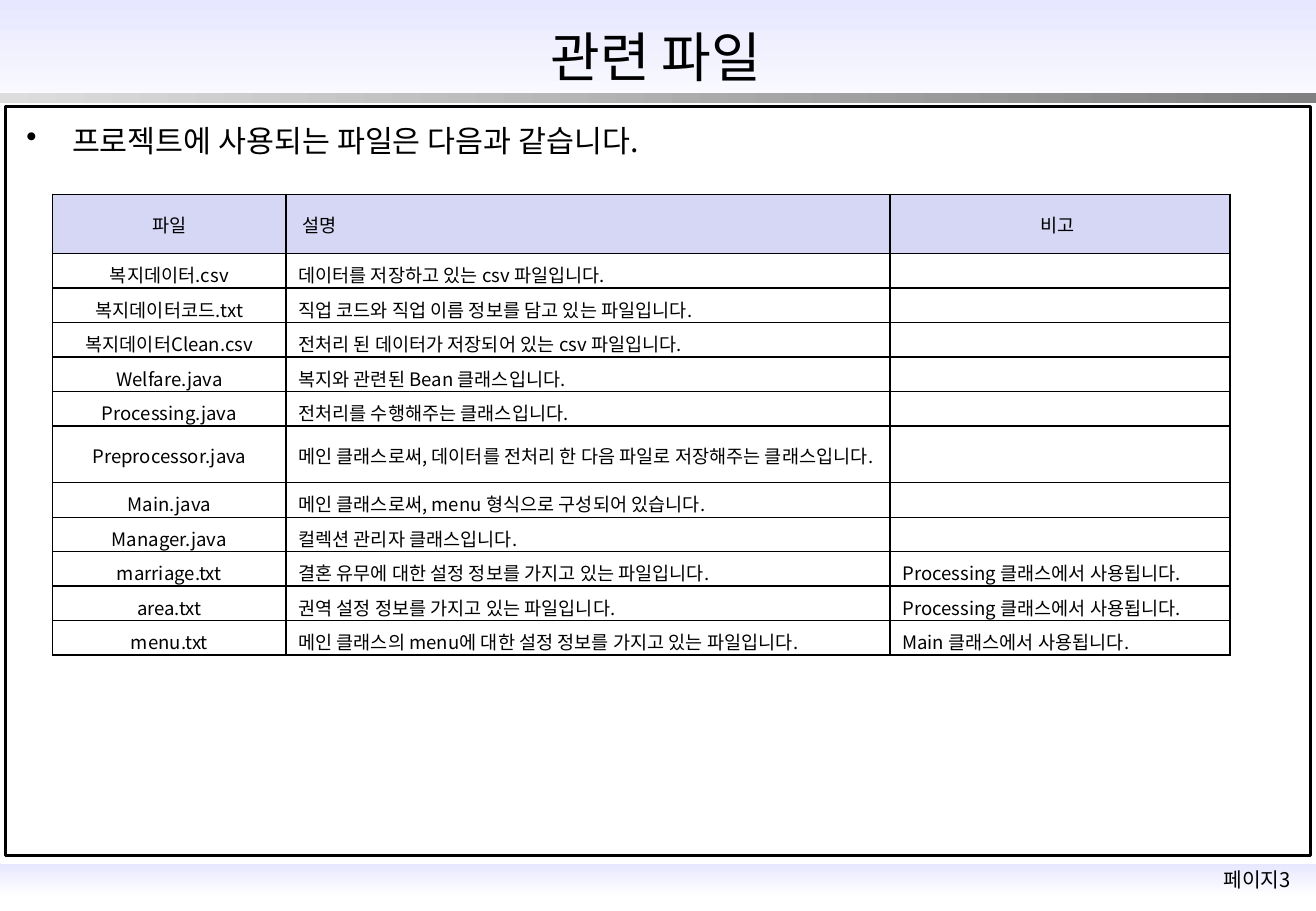
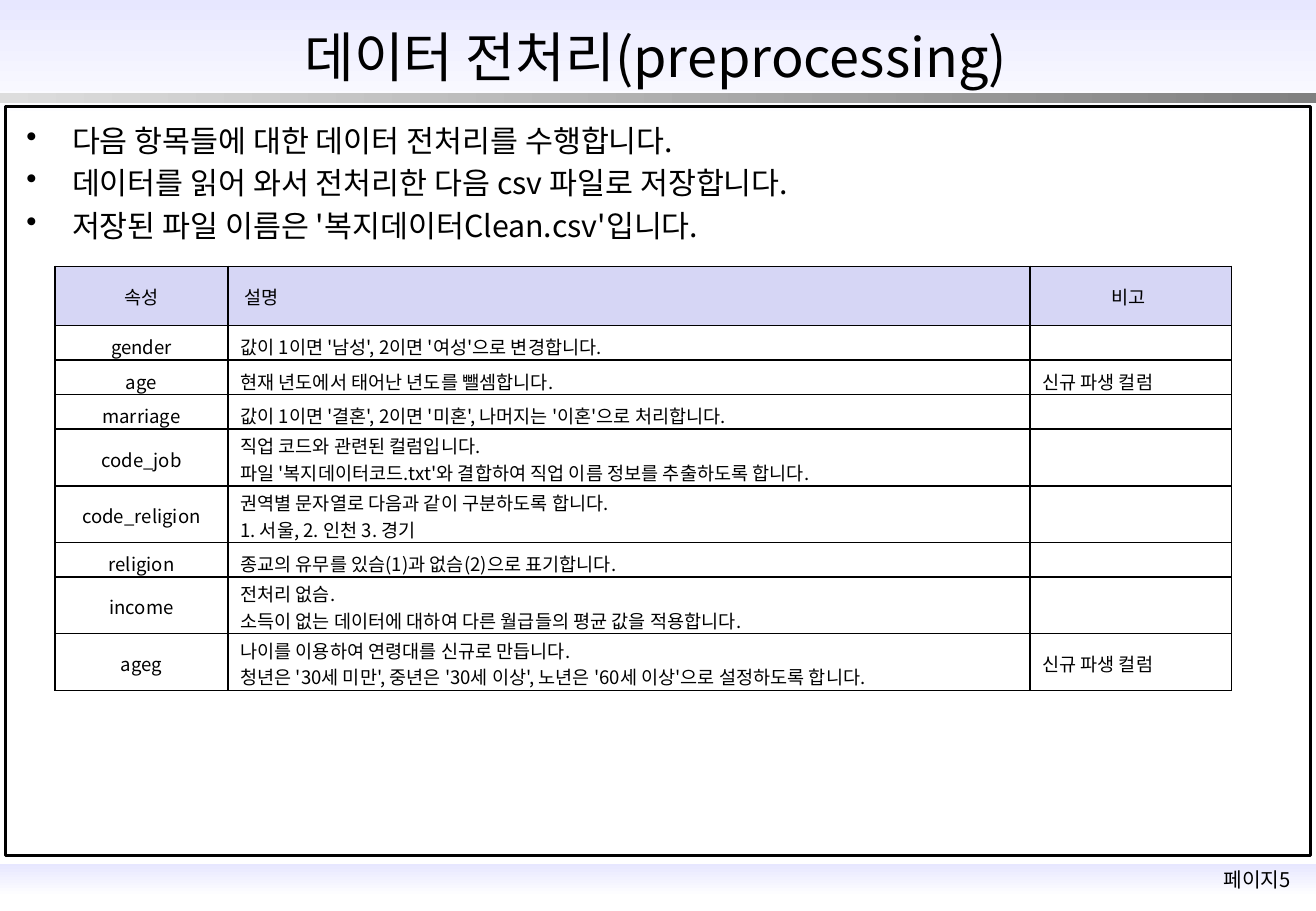
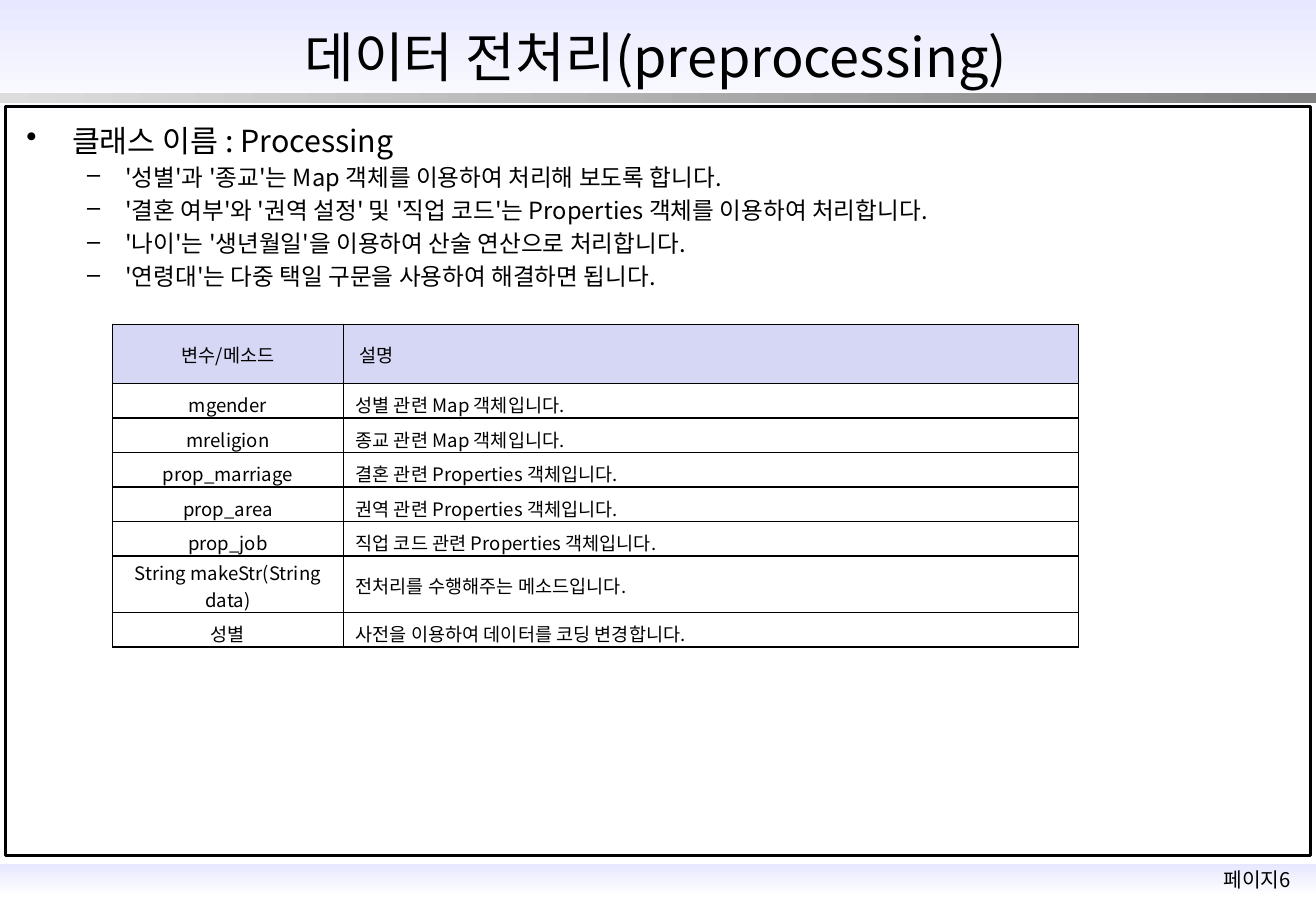
from dataclasses import dataclass

from lxml.etree import SubElement
from pptx import Presentation
from pptx.dml.color import RGBColor
from pptx.enum.shapes import MSO_SHAPE
from pptx.enum.text import MSO_ANCHOR, PP_ALIGN
from pptx.oxml.ns import qn
from pptx.util import Pt


# Theme
@dataclass(frozen=True)
class Theme:
    font: str = "Noto Sans CJK KR"
    ink: str = "000000"
    band: tuple = ("E7E7FF", "FFFFFF")
    rule: tuple = ("DDDDDD", "808080")
    header_fill: str = "D6D6F5"
    title: float = 32
    bullet_sizes: tuple = (18, 14)
    cell: float = 11
    page: float = 12


THEME = Theme()
SLIDE_WIDTH, SLIDE_HEIGHT = 780, 540
HEADER_HEIGHT = 35.2
ROW_HEIGHTS = {1: 20.45, 2: 33.6}  # by number of text lines
CELL_LINE = 16
LINE_FACTOR = 1.2
# Marker, left margin and hanging indent of each bullet level
BULLETS = (("•", 27, -27), ("–", 58.5, -22.5))

# Content: bullets are (level, text); wrapped lists the rows that fold to two lines
SLIDES = [
    dict(
        title="관련 파일",
        page="페이지3",
        bullets=[(0, "프로젝트에 사용되는 파일은 다음과 같습니다.")],
        origin=(31.2, 115.2),
        columns=(138.4, 358, 201.4),
        wrapped={6},
        rows=[
            ("파일", " 설명", "비고\u00a0"),
            ("복지데이터.csv", "데이터를 저장하고 있는 csv 파일입니다.", ""),
            ("복지데이터코드.txt", "직업 코드와 직업 이름 정보를 담고 있는 파일입니다.", ""),
            ("복지데이터Clean.csv", "전처리 된 데이터가 저장되어 있는 csv 파일입니다.", ""),
            ("Welfare.java", "복지와 관련된 Bean 클래스입니다.", ""),
            ("Processing.java", "전처리를 수행해주는 클래스입니다.", ""),
            ("Preprocessor.java", "메인 클래스로써, 데이터를 전처리 한 다음 파일로 저장해주는 클래스입니다.", ""),
            ("Main.java", "메인 클래스로써, menu 형식으로 구성되어 있습니다.", ""),
            ("Manager.java", "컬렉션 관리자 클래스입니다.", ""),
            ("marriage.txt", "결혼 유무에 대한 설정 정보를 가지고 있는 파일입니다.", "Processing 클래스에서 사용됩니다."),
            ("area.txt", "권역 설정 정보를 가지고 있는 파일입니다.", "Processing 클래스에서 사용됩니다."),
            ("menu.txt", "메인 클래스의 menu에 대한 설정 정보를 가지고 있는 파일입니다.", "Main 클래스에서 사용됩니다."),
        ],
    ),
    dict(
        title="데이터 전처리(preprocessing)",
        page="페이지5",
        bullets=[
            (0, "다음 항목들에 대한 데이터 전처리를 수행합니다."),
            (0, "데이터를 읽어 와서 전처리한 다음 csv 파일로 저장합니다."),
            (0, "저장된 파일 이름은 '복지데이터Clean.csv'입니다."),
        ],
        origin=(32.5, 157.9),
        columns=(102.7, 475.3, 119.6),
        wrapped=set(),
        rows=[
            ("속성", " 설명", "비고\u00a0"),
            ("gender", "값이 1이면 '남성', 2이면 '여성'으로 변경합니다.", ""),
            ("age", "현재 년도에서 태어난 년도를 뺄셈합니다.", "신규 파생 컬럼"),
            ("marriage", "값이 1이면 '결혼', 2이면 '미혼', 나머지는 '이혼'으로 처리합니다.", ""),
            ("code_job", "직업 코드와 관련된 컬럼입니다.\n"
             "파일 '복지데이터코드.txt'와 결합하여 직업 이름 정보를 추출하도록 합니다.", ""),
            ("code_religion", "권역별 문자열로 다음과 같이 구분하도록 합니다.\n1. 서울, 2. 인천 3. 경기", ""),
            ("religion", "종교의 유무를 있슴(1)과 없슴(2)으로 표기합니다.", ""),
            ("income", "전처리 없슴.\n소득이 없는 데이터에 대하여 다른 월급들의 평균 값을 적용합니다.", ""),
            ("ageg", "나이를 이용하여 연령대를 신규로 만듭니다.\n"
             "청년은 '30세 미만', 중년은 '30세 이상', 노년은 '60세 이상'으로 설정하도록 합니다.", "신규 파생 컬럼"),
        ],
    ),
    dict(
        title="데이터 전처리(preprocessing)",
        page="페이지6",
        bullets=[
            (0, "클래스 이름 : Processing"),
            (1, "'성별'과 '종교'는 Map 객체를 이용하여 처리해 보도록 합니다."),
            (1, "'결혼 여부'와 '권역 설정' 및 '직업 코드'는 Properties 객체를 이용하여 처리합니다."),
            (1, "'나이'는 '생년월일'을 이용하여 산술 연산으로 처리합니다."),
            (1, "'연령대'는 다중 택일 구문을 사용하여 해결하면 됩니다."),
        ],
        origin=(66.6, 192.2),
        columns=(137, 435.6),
        wrapped={6},
        rows=[
            ("변수/메소드", " 설명"),
            ("mgender", "성별 관련 Map 객체입니다."),
            ("mreligion", "종교 관련 Map 객체입니다."),
            ("prop_marriage", "결혼 관련 Properties 객체입니다."),
            ("prop_area", "권역 관련 Properties 객체입니다."),
            ("prop_job", "직업 코드 관련 Properties 객체입니다."),
            ("String makeStr(String data)", "전처리를 수행해주는 메소드입니다."),
            ("성별", "사전을 이용하여 데이터를 코딩 변경합니다."),
        ],
    ),
]


def points(*lengths):
    return [Pt(length) for length in lengths]


def style(paragraph, size, align=PP_ALIGN.LEFT):
    paragraph.alignment = align
    font = paragraph.font
    font.name, font.size = THEME.font, Pt(size)
    font.color.rgb = RGBColor.from_string(THEME.ink)
    defaults = paragraph._p.pPr.find(qn("a:defRPr"))
    SubElement(defaults, qn("a:ea"), typeface=THEME.font)
    if not paragraph.runs:
        SubElement(paragraph._p, qn("a:endParaRPr"), sz=str(size * 100))
    return defaults


# Shared bands, rule and frame
def add_bar(slide, box, colors=None, angle=0):
    bar = slide.shapes.add_shape(MSO_SHAPE.RECTANGLE, *points(*box))
    bar.shadow.inherit = False
    if colors:
        bar.fill.gradient()
        bar.fill.gradient_angle = angle
        for stop, color in zip(bar.fill.gradient_stops, colors):
            stop.color.rgb = RGBColor.from_string(color)
        bar.line.fill.background()
    else:
        bar.fill.background()
        bar.line.color.rgb = RGBColor.from_string(THEME.ink)
        bar.line.width = Pt(1.5)
    return bar


def decorate(layout, slide):
    bars = [
        add_bar(slide, (0, 512, SLIDE_WIDTH, 19.4), THEME.band, 270),
        add_bar(slide, (0, 0, SLIDE_WIDTH, 72), THEME.band, 270),
        add_bar(slide, (0, 55.2, SLIDE_WIDTH, 5.8), THEME.rule),
        add_bar(slide, (3.4, 63.2, 773.3, 444)),
    ]
    for bar in bars:
        layout.shapes.element.append(bar.element)


# Title, bullets and page number
def add_title(slide, text):
    title = slide.shapes.title
    title.left, title.top, title.width, title.height = points(100, 12.2, 577.6, 41.8)
    frame = title.text_frame
    frame.text = text
    frame.vertical_anchor = MSO_ANCHOR.MIDDLE
    frame.margin_top = frame.margin_bottom = 0
    style(frame.paragraphs[0], THEME.title, PP_ALIGN.CENTER)


def add_text(slide, box, text):
    frame = slide.shapes.add_textbox(*points(*box)).text_frame
    frame.word_wrap = True
    frame.text = text
    return frame.paragraphs


def add_bullets(slide, bullets):
    sizes = [THEME.bullet_sizes[level] for level, _ in bullets]
    height = 7.2 + sum(size * 1.4 for size in sizes)
    text = "\n".join(line for _, line in bullets)
    paragraphs = add_text(slide, (8.6, 68.7, 759.6, height), text)
    for paragraph, size, (level, _) in zip(paragraphs, sizes, bullets):
        marker, margin, indent = BULLETS[level]
        defaults = style(paragraph, size)
        paragraph.level = level
        paragraph.line_spacing = Pt(size * LINE_FACTOR)
        paragraph.space_before = Pt(size * 0.2)
        properties = paragraph._p.pPr
        properties.set("marL", str(Pt(margin)))
        properties.set("indent", str(Pt(indent)))
        defaults.addprevious(SubElement(properties, qn("a:buChar"), char=marker))


def add_page_number(slide, text):
    page = add_text(slide, (707, 510.5, 76.3, 21.6), text)[0]
    style(page, THEME.page, PP_ALIGN.CENTER)
    page.line_spacing = Pt(THEME.page * LINE_FACTOR)


# Table
def add_borders(cell):
    properties = cell._tc.get_or_add_tcPr()
    for position, side in enumerate("LRTB"):
        border = SubElement(properties, qn(f"a:ln{side}"), w=str(Pt(1)))
        fill = SubElement(border, qn("a:solidFill"))
        SubElement(fill, qn("a:srgbClr"), val=THEME.ink)
        properties.insert(position, border)


def fill_cell(cell, text, centered, header, top_margin):
    cell.text = text
    cell.vertical_anchor = MSO_ANCHOR.MIDDLE
    if header:
        cell.fill.solid()
        cell.fill.fore_color.rgb = RGBColor.from_string(THEME.header_fill)
    else:
        cell.fill.background()
        cell.margin_top, cell.margin_bottom = Pt(top_margin), 0
    for paragraph in cell.text_frame.paragraphs:
        style(paragraph, THEME.cell, PP_ALIGN.CENTER if centered else PP_ALIGN.LEFT)
    add_borders(cell)


def add_grid(slide, rows, columns, origin, wrapped):
    lines = [2 if index in wrapped or any("\n" in text for text in row) else 1
             for index, row in enumerate(rows)]
    heights = [HEADER_HEIGHT] + [ROW_HEIGHTS[count] for count in lines[1:]]
    table = slide.shapes.add_table(
        len(rows), len(columns), *points(*origin, sum(columns), sum(heights))).table
    table.first_row = table.horz_banding = False
    for column, width in zip(table.columns, columns):
        column.width = Pt(width)
    for r, (row, height) in enumerate(zip(rows, heights)):
        table.rows[r].height = Pt(height)
        for c, text in enumerate(row):
            centered = c == 0 or (r == 0 and c == 2)
            fill_cell(table.cell(r, c), text, centered, r == 0,
                      height - lines[r] * CELL_LINE)


# Build
deck = Presentation()
deck.slide_width, deck.slide_height = points(SLIDE_WIDTH, SLIDE_HEIGHT)
title_only = deck.slide_layouts[5]
for number, content in enumerate(SLIDES):
    slide = deck.slides.add_slide(title_only)
    if number == 0:
        decorate(title_only, slide)
    add_title(slide, content["title"])
    add_bullets(slide, content["bullets"])
    add_grid(slide, content["rows"], content["columns"], content["origin"], content["wrapped"])
    add_page_number(slide, content["page"])
deck.save("out.pptx")
